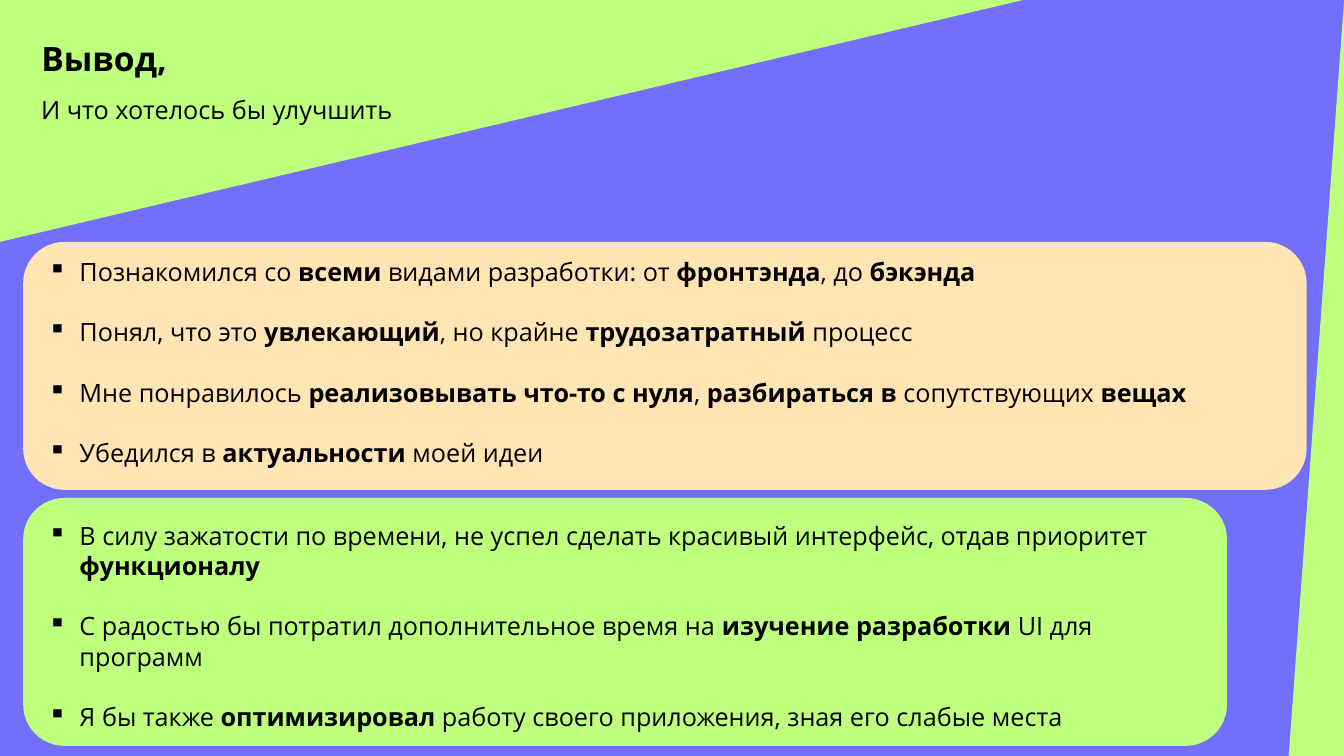
from lxml.etree import SubElement
from pptx import Presentation
from pptx.dml.color import RGBColor
from pptx.enum.shapes import MSO_SHAPE
from pptx.enum.text import MSO_ANCHOR, MSO_AUTO_SIZE, PP_ALIGN
from pptx.oxml.ns import qn
from pptx.util import Inches, Pt

LIME, PEACH, VIOLET, BLACK = "BEFF7D", "FFE5B4", "726FFD", "000000"

LESSONS = [
    "Познакомился со *всеми* видами разработки: от *фронтэнда*, до *бэкэнда*",
    "Понял, что это *увлекающий*, но крайне *трудозатратный* процесс",
    "Мне понравилось *реализовывать что-то с нуля*, *разбираться в* сопутствующих *вещах*",
    "Убедился в *актуальности* моей идеи",
]
IMPROVEMENTS = [
    "В силу зажатости по времени, не успел сделать красивый интерфейс, "
    "отдав приоритет *функционалу*",
    "С радостью бы потратил дополнительное время на *изучение разработки *UI для программ",
    "Я бы также *оптимизировал* работу своего приложения, зная его слабые места",
]


def color(value):
    return RGBColor.from_string(value)


class ConclusionSlide:
    """Holds the text style and the current slide, and draws its elements."""

    font = "Open Sans"
    body_size = Pt(18)
    title_size = Pt(24)
    item_gap = Pt(21.6)
    indent = Inches(0.31)

    def __init__(self, deck, background):
        self.slide = deck.slides.add_slide(deck.slide_layouts[5])
        self.shapes = self.slide.shapes
        fill = self.slide.background.fill
        fill.solid()
        fill.fore_color.rgb = color(background)

    def panel(self, kind, box, fill, flip=None):
        panel = self.shapes.add_shape(kind, *map(Inches, box))
        panel.shadow.inherit = False
        panel.fill.solid()
        panel.fill.fore_color.rgb = color(fill)
        panel.line.fill.background()
        if flip:
            panel.element.spPr.find(qn("a:xfrm")).set(flip, "1")

    def add_runs(self, paragraph, text, size, bold=False):
        paragraph.alignment = PP_ALIGN.LEFT
        paragraph.line_spacing = 1.0
        for index, part in enumerate(text.split("*")):
            if part:
                run = paragraph.add_run()
                run.text = part
                run.font.name = self.font
                run.font.size = size
                run.font.bold = bold or index % 2 == 1
                run.font.color.rgb = color(BLACK)

    def frame(self, holder):
        frame = holder.text_frame
        frame.word_wrap = True
        frame.auto_size = MSO_AUTO_SIZE.NONE
        frame.vertical_anchor = MSO_ANCHOR.TOP
        return frame

    def text_box(self, box):
        return self.frame(self.shapes.add_textbox(*map(Inches, box)))

    def title(self, text, box):
        heading = self.shapes.title
        heading.left, heading.top, heading.width, heading.height = map(Inches, box)
        self.shapes.element.append(heading.element)
        self.add_runs(self.frame(heading).paragraphs[0], text, self.title_size, bold=True)

    def subtitle(self, text, box):
        self.add_runs(self.text_box(box).paragraphs[0], text, self.body_size)

    def bullets(self, items, box):
        frame = self.text_box(box)
        for index, item in enumerate(items):
            paragraph = frame.add_paragraph() if index else frame.paragraphs[0]
            self.add_runs(paragraph, item, self.body_size)
            if index:
                paragraph.space_before = self.item_gap
            properties = paragraph._p.get_or_add_pPr()
            properties.set("marL", str(self.indent))
            properties.set("indent", str(-self.indent))
            SubElement(properties, qn("a:buChar")).set("char", "▪")


def main():
    deck = Presentation()
    deck.slide_width, deck.slide_height = Inches(13.33), Inches(7.5)
    page = ConclusionSlide(deck, VIOLET)
    page.panel(MSO_SHAPE.ROUNDED_RECTANGLE, (0.23, 4.94, 11.94, 2.46), LIME)
    page.panel(MSO_SHAPE.ROUNDED_RECTANGLE, (0.23, 2.4, 12.73, 2.46), PEACH)
    page.panel(MSO_SHAPE.RIGHT_TRIANGLE, (0, 0, 10.15, 2.4), LIME, "flipV")
    page.title("Вывод,", (0.31, 0.33, 1.68, 0.5))
    page.subtitle("И что хотелось бы улучшить", (0.31, 0.89, 3.92, 0.4))
    page.bullets(LESSONS, (0.38, 2.49, 13.21, 2.52))
    page.bullets(IMPROVEMENTS, (0.38, 5.11, 11.59, 2.83))
    page.panel(MSO_SHAPE.RIGHT_TRIANGLE, (12.78, -0.11, 0.56, 7.64), LIME, "flipH")
    deck.save("out.pptx")


if __name__ == "__main__":
    main()
